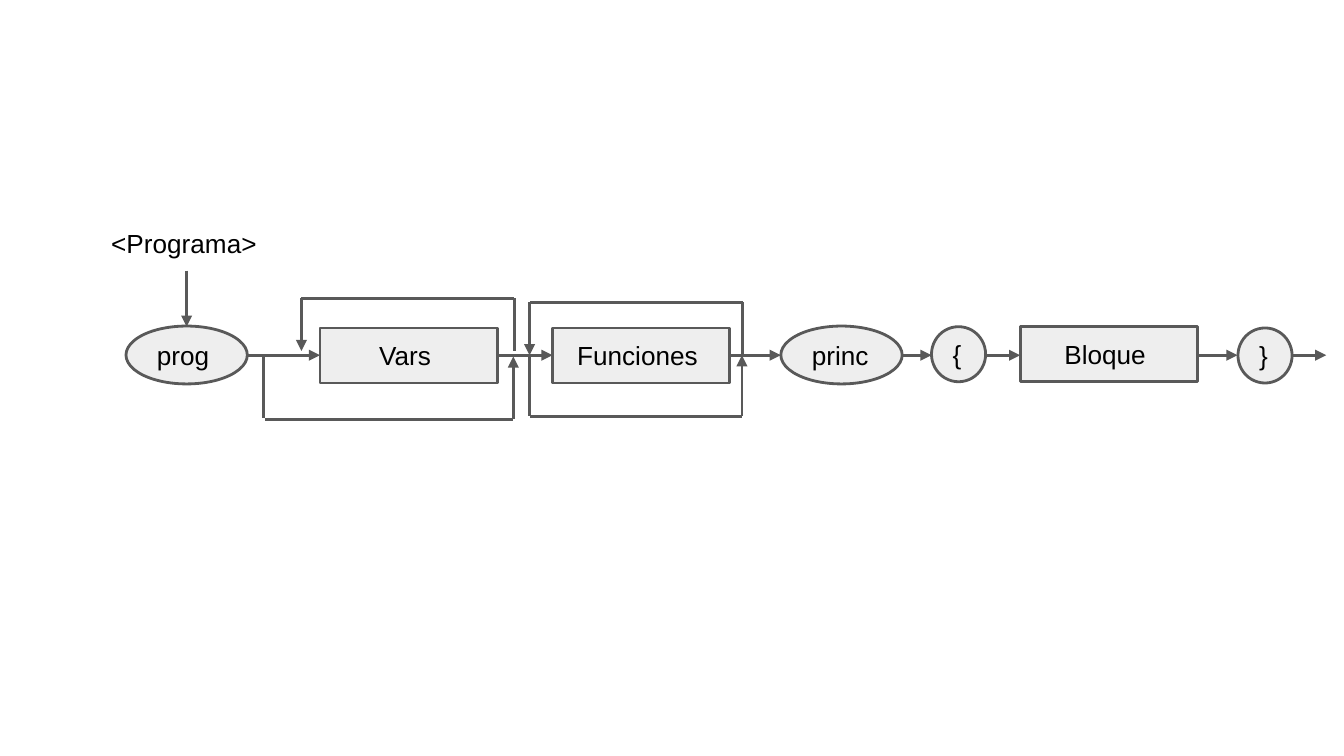
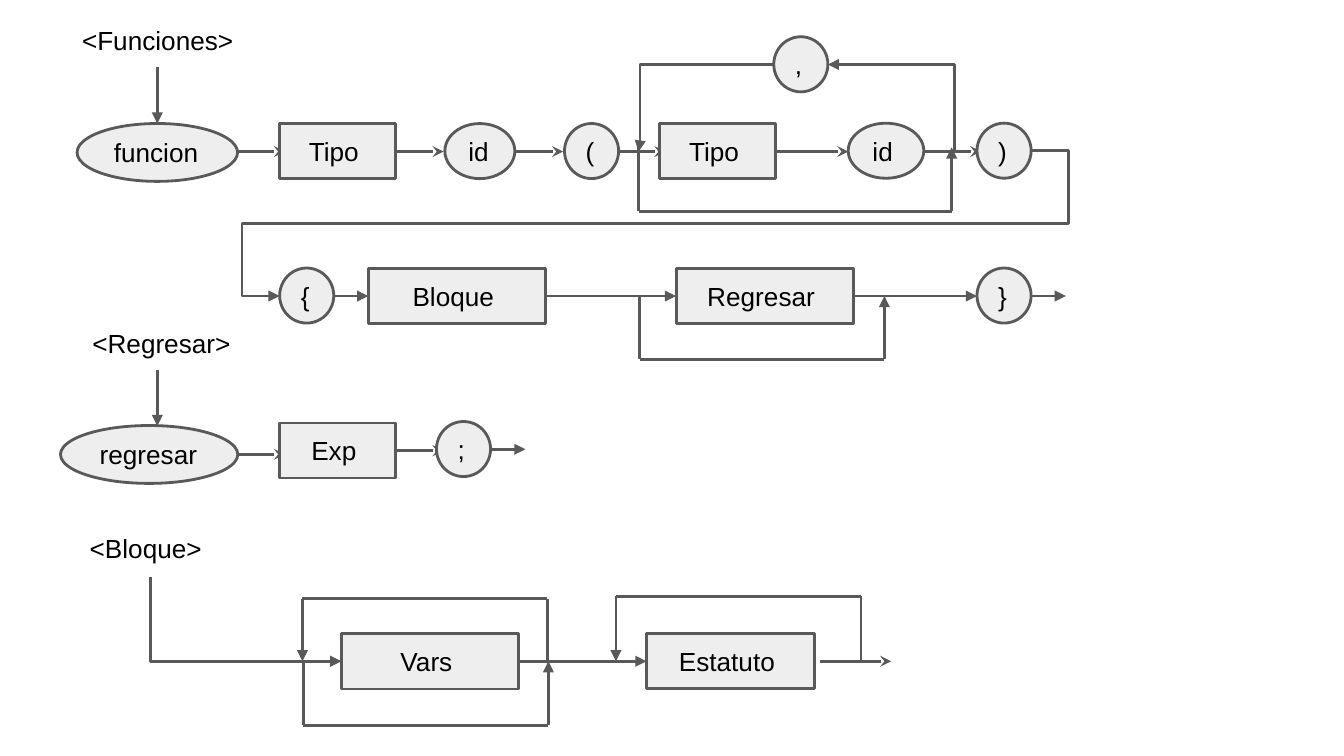
"""Builds two slides of syntax diagrams for a small language."""
import itertools

import lxml.etree
import pptx
import pptx.dml.color
import pptx.enum.shapes
import pptx.enum.text
import pptx.oxml.ns
import pptx.util

BLACK = pptx.dml.color.RGBColor(0x00, 0x00, 0x00)
GRAY = pptx.dml.color.RGBColor(0x59, 0x59, 0x59)
PALE = pptx.dml.color.RGBColor(0xEE, 0xEE, 0xEE)
Pt = pptx.util.Pt
qn = pptx.oxml.ns.qn
SHAPES = pptx.enum.shapes.MSO_SHAPE
CONNECTORS = pptx.enum.shapes.MSO_CONNECTOR
CENTER = pptx.enum.text.PP_ALIGN.CENTER
LEFT = pptx.enum.text.PP_ALIGN.LEFT


class Diagram:
    """Holds the diagram style and the current slide."""

    font_name = "Arial"
    font_size = 14
    line_width = 1.5
    inset = 7.2
    node_height = 29.5
    oval_height = 31
    circle_width = 29
    box_width = 95

    def __init__(self, presentation):
        self.presentation = presentation
        self.slide = None

    def new_slide(self):
        """Starts a blank slide."""
        self.slide = self.presentation.slides.add_slide(self.presentation.slide_layouts[6])

    def add_text(self, shape, text, alignment, anchor):
        """Puts one styled run into a shape."""
        frame = shape.text_frame
        frame.word_wrap = True
        frame.vertical_anchor = anchor
        frame.margin_left = frame.margin_right = Pt(self.inset)
        frame.margin_top = frame.margin_bottom = Pt(self.inset)
        paragraph = frame.paragraphs[0]
        paragraph.alignment = alignment
        run = paragraph.add_run()
        run.text = text
        run.font.name = self.font_name
        run.font.size = Pt(self.font_size)
        run.font.color.rgb = BLACK

    def label(self, text, left, top, width, alignment=LEFT):
        """Adds the name of a grammar rule."""
        shape = self.slide.shapes.add_textbox(Pt(left), Pt(top), Pt(width), Pt(self.oval_height))
        self.add_text(shape, text, alignment, pptx.enum.text.MSO_ANCHOR.TOP)

    def node(self, kind, text, left, top, width, height, alignment):
        """Adds a filled and outlined node."""
        shape = self.slide.shapes.add_shape(kind, Pt(left), Pt(top), Pt(width), Pt(height))
        shape.shadow.inherit = False
        shape.fill.solid()
        shape.fill.fore_color.rgb = PALE
        shape.line.color.rgb = GRAY
        shape.line.width = Pt(self.line_width)
        self.add_text(shape, text, alignment, pptx.enum.text.MSO_ANCHOR.MIDDLE)

    def box(self, text, left, top, width=box_width):
        """Adds a rule reference."""
        self.node(SHAPES.RECTANGLE, text + " ", left, top, width, self.node_height, CENTER)

    def oval(self, text, left, top, width, height=oval_height):
        """Adds a keyword."""
        self.node(SHAPES.OVAL, text, left, top, width, height, LEFT)

    def circle(self, text, left, top, width=circle_width):
        """Adds a symbol or a short token."""
        self.oval(text, left, top, width, self.node_height)

    def connect(self, kind, start, end, arrow=None, arrow_side="tailEnd"):
        """Adds a connector with an optional arrowhead."""
        connector = self.slide.shapes.add_connector(kind, *map(Pt, start + end))
        connector.line.color.rgb = GRAY
        connector.line.width = Pt(self.line_width)
        properties = connector._element.spPr
        if arrow:
            line = properties.find(qn("a:ln"))
            lxml.etree.SubElement(line, qn("a:" + arrow_side), type=arrow)
        lxml.etree.SubElement(properties, qn("a:effectLst"))
        return connector

    def wire(self, *points, arrow="triangle"):
        """Joins points by straight lines, the last with an arrowhead."""
        last = len(points) - 2
        for index, (start, end) in enumerate(itertools.pairwise(points)):
            self.connect(CONNECTORS.STRAIGHT, start, end, arrow if index == last else None)

    def flow(self, y, *spans, arrow="triangle"):
        """Adds horizontal arrows at one height."""
        for start, end in spans:
            self.wire((start, y), (end, y), arrow=arrow)

    def elbow(self, start, end, preset, adjustments=(), arrow="triangle", arrow_side="tailEnd"):
        """Adds a bent connector of a given preset."""
        connector = self.connect(CONNECTORS.ELBOW, start, end, arrow, arrow_side)
        geometry = connector._element.spPr.find(qn("a:prstGeom"))
        geometry.set("prst", preset)
        for child in list(geometry):
            geometry.remove(child)
        guides = lxml.etree.SubElement(geometry, qn("a:avLst"))
        for number, value in enumerate(adjustments, 1):
            lxml.etree.SubElement(
                guides, qn("a:gd"), name=f"adj{number}", fmla=f"val {round(value * 100000)}")

    def detour(self, start, end, main, level):
        """Leaves the main line, runs at another level and returns."""
        self.wire((start, main), (start, level), (end, level), (end, main))


def draw_program(diagram):
    """Draws the program rule."""
    diagram.new_slide()
    main = 190.3
    diagram.wire((100, 145), (100, 175))
    diagram.flow(main, (132.5, 171.4), (266.5, 296), (391, 418.3), (483.3, 499),
                 (528, 546.5), (641.5, 663), (692, 710.5))
    diagram.elbow((132.5, main), (141, 224), "bentConnector2", arrow=None)
    diagram.wire((141.8, 224.6), (275, 224.6), (275, 191))
    diagram.detour(283.7, 397.5, main, 223)
    diagram.detour(397.8, 283.7, main, 162)
    diagram.detour(275.5, 161.5, 188, 159.8)

    diagram.label("<Programa>", 52.5, 114.5, 95)
    diagram.oval("prog", 67.5, 174.7, 65)
    diagram.oval("princ", 418.3, 174.7, 65)
    for text, left, top in [("Vars", 171.4, 175.7), ("Funciones", 296, 175.7), ("Bloque", 546.5, 175)]:
        diagram.box(text, left, top)
    diagram.circle("{", 499, 175)
    diagram.circle("}", 663.2, 175.7)


def draw_functions(diagram):
    """Draws the function, return and block rules."""
    diagram.new_slide()
    head, body, back, block = 81.2, 158.6, 241.5, 354.3

    diagram.wire((84.3, 36), (84.3, 66.2))
    diagram.flow(head, (127.2, 152.6), (212, 237.6), (276.2, 301.6), (331.2, 356.4),
                 (415.4, 454.4), (495.4, 525.6), arrow="stealth")
    diagram.elbow((512.6, head), (443.5, 34.6), "bentConnector3", [0.02])
    diagram.elbow((414.7, 34.6), (342.2, head), "bentConnector3", [0.99])
    diagram.detour(342.2, 509.8, 79, 113.2)
    diagram.elbow((552.2, 80.6), (149.8, body), "bentConnector5", [-0.05, 0.5, 1.05])

    diagram.flow(body, (178.6, 197.3), (292.3, 362.2), (457.2, 523.4), (552.2, 571))
    diagram.detour(342.7, 473.8, body, 192.6)

    diagram.wire((84.3, 198), (84.3, 228.2))
    diagram.flow(243.4, (127.2, 152.6), arrow="stealth")
    diagram.flow(back, (212, 237.6), arrow="stealth")
    diagram.flow(240.7, (262.8, 281.5))

    diagram.elbow((182.9, block), (80.6, 309), "bentConnector2", arrow_side="headEnd")
    diagram.flow(block, (278, 346.3))
    diagram.flow(block, (439.2, 477.4), arrow="stealth")
    diagram.detour(293.3, 162, block, 320.8)
    diagram.detour(162.5, 293.8, block, 388.5)
    diagram.detour(461.3, 330, block, 319.5)

    diagram.label("<Funciones>", 31, 5.6, 107, CENTER)
    diagram.label("<Regresar>", 33, 168, 107, CENTER)
    diagram.label("<Bloque>", 41, 278, 80)
    diagram.oval("funcion", 41.3, 66.2, 86)
    diagram.oval("regresar", 32.4, 228, 95)
    for text, left, top, width in [
            ("Tipo", 149.8, 66.2, 62), ("Tipo", 353.5, 66.2, 62),
            ("Bloque", 197.3, 143.8, 95), ("Regresar", 362.2, 143.8, 95),
            ("Exp", 149.8, 226.6, 62),
            ("Vars", 182.9, 339.6, 95), ("Estatuto", 346.4, 339.2, 90)]:
        diagram.box(text, left, top, width)
    for text, left, top in [("(", 302.4, 66.2), (",", 414.5, 19.7), (")", 523.4, 66),
                            ("{", 149.8, 143.6), ("}", 523.4, 143.6), (";", 233.8, 225.8)]:
        diagram.circle(text, left, top)
    diagram.circle("id", 238.3, 66.2, 37.5)
    diagram.circle("id", 454.4, 66, 40.5)


def main():
    """Builds and saves the presentation."""
    presentation = pptx.Presentation()
    presentation.slide_width = Pt(720)
    presentation.slide_height = Pt(405)
    diagram = Diagram(presentation)
    draw_program(diagram)
    draw_functions(diagram)
    presentation.save("out.pptx")


main()
